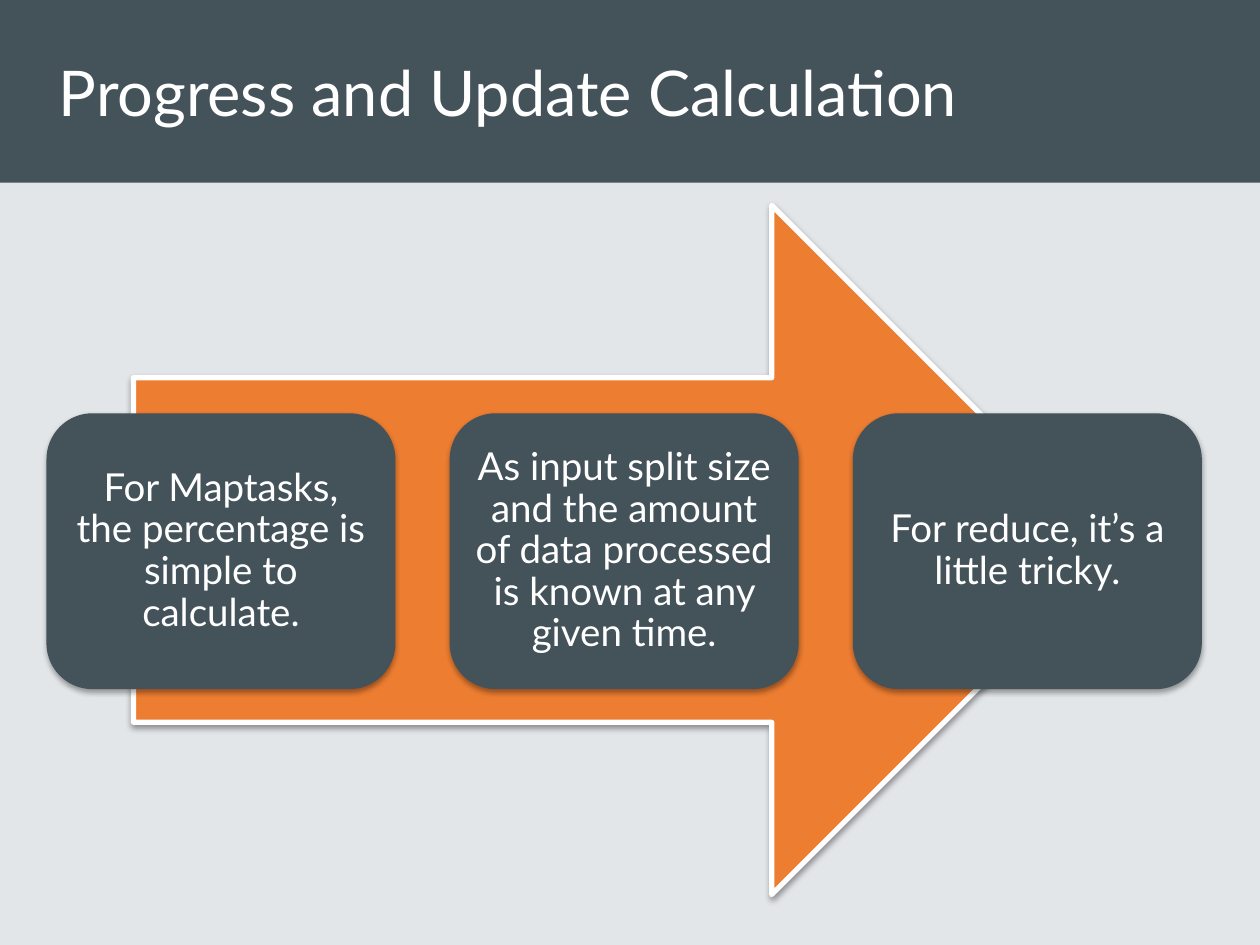
from lxml import etree
from pptx import Presentation
from pptx.dml.color import RGBColor
from pptx.enum.shapes import MSO_SHAPE as Shape
from pptx.enum.text import MSO_ANCHOR as Anchor, PP_ALIGN as Align
from pptx.oxml import parse_xml
from pptx.oxml.ns import nsdecls
from pptx.util import Pt

SLATE = RGBColor(0x44, 0x52, 0x5A)
ORANGE = RGBColor(0xED, 0x7D, 0x31)
WHITE = RGBColor(0xFF, 0xFF, 0xFF)
PALE = RGBColor(0xE3, 0xE6, 0xE9)

STEPS = [
    "For Maptasks, the percentage is simple to calculate.",
    "As input split size and the amount of data processed is known at any given time.",
    "For reduce, it’s a little tricky.",
]
STEP_LEFT, STEP_PITCH = 26.6, 230.4


def add_filled(kind, left, top, width, height, color, shadow=None):
    """Add a shape without outline; shadow is (distance in points, opacity in percent)."""
    shape = slide.shapes.add_shape(kind, Pt(left), Pt(top), Pt(width), Pt(height))
    shape.fill.solid()
    shape.fill.fore_color.rgb = color
    shape.line.fill.background()
    shape.shadow.inherit = False
    if shadow:
        distance, opacity = shadow
        effects = shape.element.spPr.find("{*}effectLst")
        effects.append(parse_xml(
            f'<a:outerShdw {nsdecls("a")} blurRad="{Pt(3.1)}" dist="{Pt(distance)}" '
            f'dir="5400000" rotWithShape="0"><a:srgbClr val="000000">'
            f'<a:alpha val="{opacity * 1000}"/></a:srgbClr></a:outerShdw>'))
    return shape


def write_text(shape, text, size, frame_format, para_format):
    frame = shape.text_frame
    for name, value in frame_format.items():
        setattr(frame, name, value)
    para = frame.paragraphs[0]
    for name, value in para_format.items():
        setattr(para, name, value)
    span = para.add_run()
    span.text = text
    span.font.name = "Lato"
    span.font.size = Pt(size)
    span.font.color.rgb = WHITE


deck = Presentation()
deck.slide_width, deck.slide_height = Pt(720), Pt(540)
slide = deck.slides.add_slide(deck.slide_layouts[6])
slide.background.fill.solid()
slide.background.fill.fore_color.rgb = PALE

add_filled(Shape.RECTANGLE, 0, 0, 720, 104.4, SLATE)

arrow = add_filled(Shape.RIGHT_ARROW, 76.3, 117.4, 561.6, 393.8, ORANGE, (1.6, 38))
arrow.line.color.rgb = WHITE
arrow.line.width = Pt(3)

step_frame = {"word_wrap": True, "vertical_anchor": Anchor.MIDDLE}
for side in ("left", "top", "right", "bottom"):
    step_frame[f"margin_{side}"] = Pt(6.6)
step_para = {"alignment": Align.CENTER, "line_spacing": 0.9}
for index, text in enumerate(STEPS):
    step = add_filled(Shape.ROUNDED_RECTANGLE, STEP_LEFT + index * STEP_PITCH, 236.2,
                      199.4, 157.6, SLATE, (1.8, 35))
    write_text(step, text, 22, step_frame, step_para)

title = slide.shapes.add_textbox(Pt(STEP_LEFT), Pt(0), Pt(660.2), Pt(104.4))
write_text(title, "Progress and Update Calculation", 36,
           {"word_wrap": True, "vertical_anchor": Anchor.MIDDLE},
           {"alignment": Align.LEFT})

deck.save("out.pptx")
